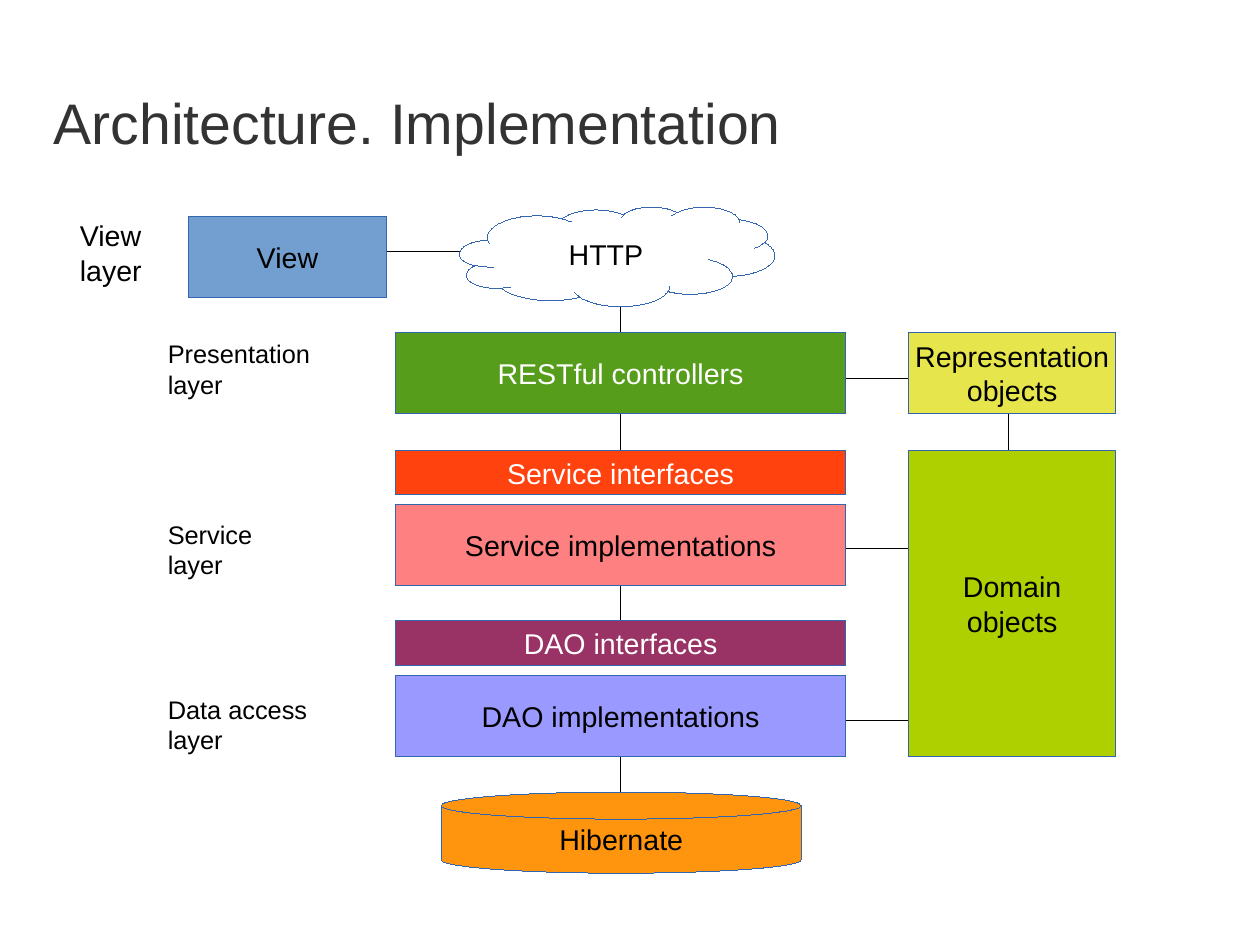
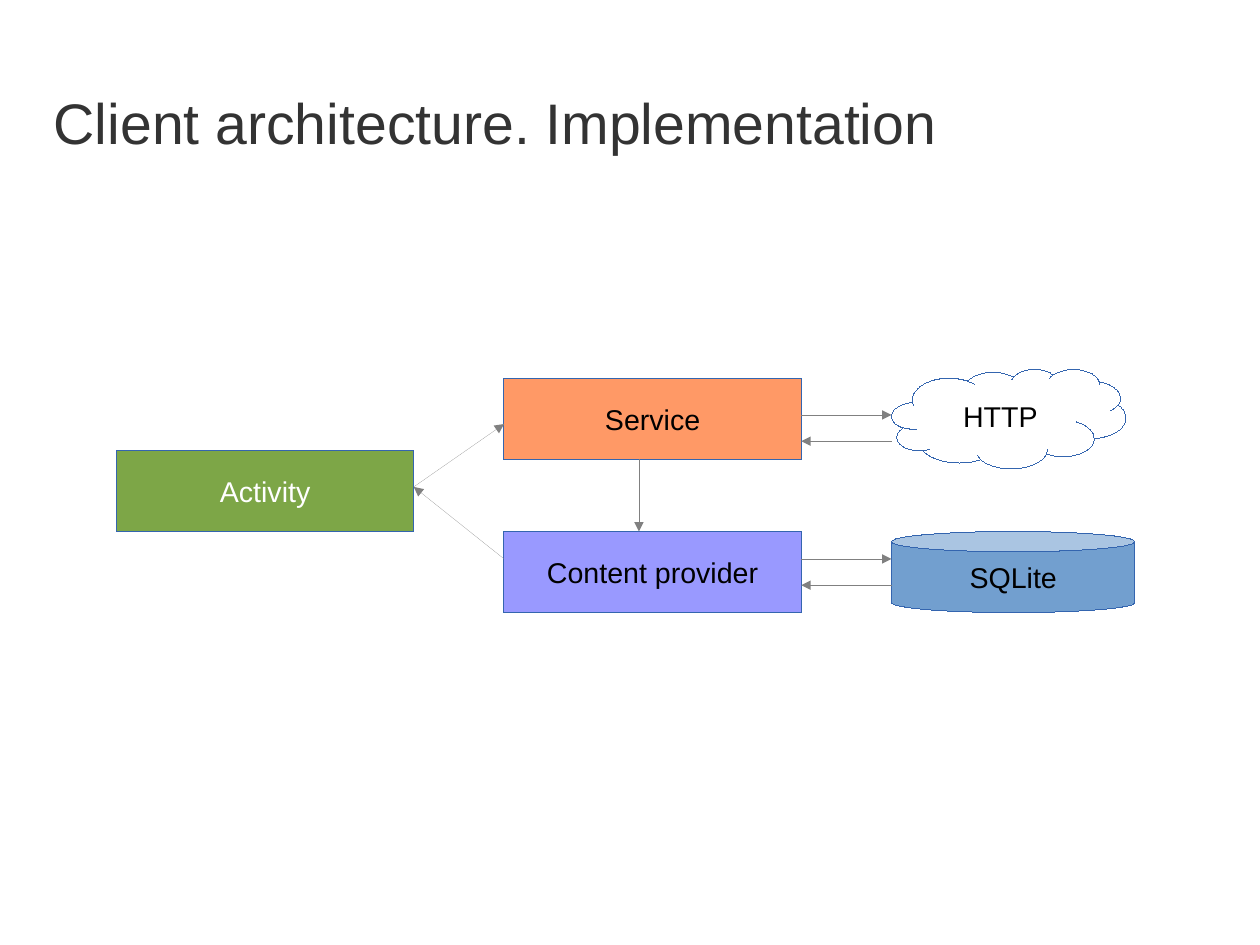
import lxml.etree
import pptx
import pptx.dml.color
import pptx.enum.shapes
import pptx.enum.text
import pptx.oxml.ns
import pptx.util

Inches = pptx.util.Inches
Pt = pptx.util.Pt
SHAPE = pptx.enum.shapes.MSO_SHAPE
ALIGN = pptx.enum.text.PP_ALIGN
ANCHOR = pptx.enum.text.MSO_ANCHOR

FONT = "Arial"
COLORS = {
    "title": "333333", "black": "000000", "white": "FFFFFF",
    "outline": "3465AF", "arrow": "808080", "blue": "729FCF",
    "green": "579D1C", "yellow": "E6E64C", "lime": "AECF00",
    "red": "FF420E", "pink": "FF8080", "plum": "993366",
    "lavender": "9999FF", "amber": "FF950E", "olive": "7DA647",
    "peach": "FF9966",
}
CM_PER_INCH = 2.54
HAIRLINE = Pt(0.01)  # a width of 0 would fall back to the theme's line
ROW_HEIGHT = 0.71
INTERFACE_HEIGHT = 0.39


def rgb(name):
    return pptx.dml.color.RGBColor.from_string(COLORS[name])


def format_text(text_frame, size, color, alignment):
    for paragraph in text_frame.paragraphs:
        paragraph.alignment = alignment
        for run in paragraph.runs:
            run.font.name = FONT
            run.font.size = Pt(size)
            run.font.color.rgb = rgb(color)


def format_line(line, color):
    line.color.rgb = rgb(color)
    line.width = HAIRLINE


def add_titled_slide(presentation, title_text, title_width):
    slide = presentation.slides.add_slide(presentation.slide_layouts[5])
    title = slide.shapes.title
    title.left, title.top = Inches(0.47), Inches(0.71)
    title.width, title.height = Inches(title_width), Inches(0.71)
    text_frame = title.text_frame
    text_frame.text = title_text
    text_frame.vertical_anchor = ANCHOR.MIDDLE
    text_frame.margin_left = text_frame.margin_right = 0
    text_frame.margin_top = text_frame.margin_bottom = 0
    format_text(text_frame, 36, "title", ALIGN.LEFT)
    return slide


def add_node(slide, text, left, top, width, height, fill,
             text_color="black", kind=SHAPE.RECTANGLE):
    shape = slide.shapes.add_shape(
        kind, Inches(left), Inches(top), Inches(width), Inches(height))
    shape.shadow.inherit = False
    shape.fill.solid()
    shape.fill.fore_color.rgb = rgb(fill)
    format_line(shape.line, "outline")
    text_frame = shape.text_frame
    text_frame.text = text
    text_frame.word_wrap = False
    text_frame.vertical_anchor = ANCHOR.MIDDLE
    format_text(text_frame, 18, text_color, ALIGN.CENTER)


def add_label(slide, text, left, top, width, height, size):
    label = slide.shapes.add_textbox(
        Inches(left), Inches(top), Inches(width), Inches(height))
    label.text_frame.word_wrap = True
    label.text_frame.text = text
    format_text(label.text_frame, size, "black", ALIGN.LEFT)


def add_line(slide, start, end, color="black", arrow=False):
    connector = slide.shapes.add_connector(
        pptx.enum.shapes.MSO_CONNECTOR.STRAIGHT,
        Inches(start[0]), Inches(start[1]), Inches(end[0]), Inches(end[1]))
    format_line(connector.line, color)
    qualify = pptx.oxml.ns.qn
    properties = connector._element.spPr
    if arrow:
        lxml.etree.SubElement(
            properties.find(qualify("a:ln")), qualify("a:tailEnd"),
            type="triangle")
    lxml.etree.SubElement(properties, qualify("a:effectLst"))


def build_server_slide(presentation):
    slide = add_titled_slide(
        presentation, "Architecture. Implementation", 7.72)
    stack_left, stack_width = 3.46, 3.94
    stack_right = stack_left + stack_width
    stack_center = stack_left + stack_width / 2
    objects_left, objects_width = 7.95, 1.81

    for top, bottom in ((2.13, 4.17), (4.72, 5.67), (5.98, 7.56)):
        add_line(slide, (stack_center, top), (stack_center, bottom))
    for y in (3.31, 4.8, 6.3):
        add_line(slide, (stack_right, y), (8.03, y))
    add_line(slide, (3.07, 2.2), (4.09, 2.2))
    add_line(slide, (8.82, 3.54), (8.82, 3.94))

    stack = (
        ("RESTful controllers", 2.91, ROW_HEIGHT, "green", "white"),
        ("Service interfaces", 3.94, INTERFACE_HEIGHT, "red", "white"),
        ("Service implementations", 4.41, ROW_HEIGHT, "pink", "black"),
        ("DAO interfaces", 5.43, INTERFACE_HEIGHT, "plum", "white"),
        ("DAO implementations", 5.91, ROW_HEIGHT, "lavender", "black"),
    )
    for text, top, height, fill, text_color in stack:
        add_node(slide, text, stack_left, top, stack_width, height,
                 fill, text_color)
    add_node(slide, "View", 1.65, 1.89, 1.73, ROW_HEIGHT, "blue")
    add_node(slide, "HTTP", 4.02, 1.81, 2.76, 0.87, "white", kind=SHAPE.CLOUD)
    add_node(slide, "Representation\nobjects", objects_left, 2.91,
             objects_width, ROW_HEIGHT, "yellow")
    add_node(slide, "Domain\nobjects", objects_left, 3.94,
             objects_width, 2.68, "lime")
    add_node(slide, "Hibernate", 3.86, 6.93, 3.15, ROW_HEIGHT, "amber",
             kind=SHAPE.FLOWCHART_MAGNETIC_DISK)

    add_label(slide, "View\nlayer", 0.6, 1.86, 0.8, 0.66, 18)
    for name, top in (("Presentation", 2.91), ("Service", 4.49),
                      ("Data access", 6.02)):
        add_label(slide, f"{name}\nlayer", 1.37, top, 1.47, 0.59, 16)


def build_client_slide(presentation):
    slide = add_titled_slide(
        presentation, "Client architecture. Implementation", 8.58)
    box_width = 2.6
    activity_left, middle_left, storage_left = 1.02, 4.41, 7.8
    activity_right = activity_left + box_width
    middle_right = middle_left + box_width
    service_top, activity_top, provider_top = 3.31, 3.94, 4.65

    for text, left, top, fill, text_color in (
            ("Activity", activity_left, activity_top, "olive", "white"),
            ("Service", middle_left, service_top, "peach", "black"),
            ("Content provider", middle_left, provider_top,
             "lavender", "black")):
        add_node(slide, text, left, top, box_width, ROW_HEIGHT,
                 fill, text_color)
    add_node(slide, "HTTP", storage_left, 3.23, 2.05, 0.87, "white",
             kind=SHAPE.CLOUD)
    add_node(slide, "SQLite", storage_left, provider_top, 2.13, ROW_HEIGHT,
             "blue", kind=SHAPE.CAN)

    arrows = [
        ((activity_right, 4.26), (middle_left, 3.71)),
        ((middle_left, 4.89), (activity_right, 4.26)),
        ((5.59, service_top + ROW_HEIGHT), (5.59, provider_top)),
    ]
    for request_y in (3.63, 4.89):
        reply_y = request_y + 0.23
        arrows.append(((middle_right, request_y), (storage_left, request_y)))
        arrows.append(((storage_left, reply_y), (middle_right, reply_y)))
    for start, end in arrows:
        add_line(slide, start, end, "arrow", arrow=True)


def main():
    presentation = pptx.Presentation()
    presentation.slide_width = Inches(28 / CM_PER_INCH)
    presentation.slide_height = Inches(21 / CM_PER_INCH)
    build_server_slide(presentation)
    build_client_slide(presentation)
    presentation.save("out.pptx")


if __name__ == "__main__":
    main()
